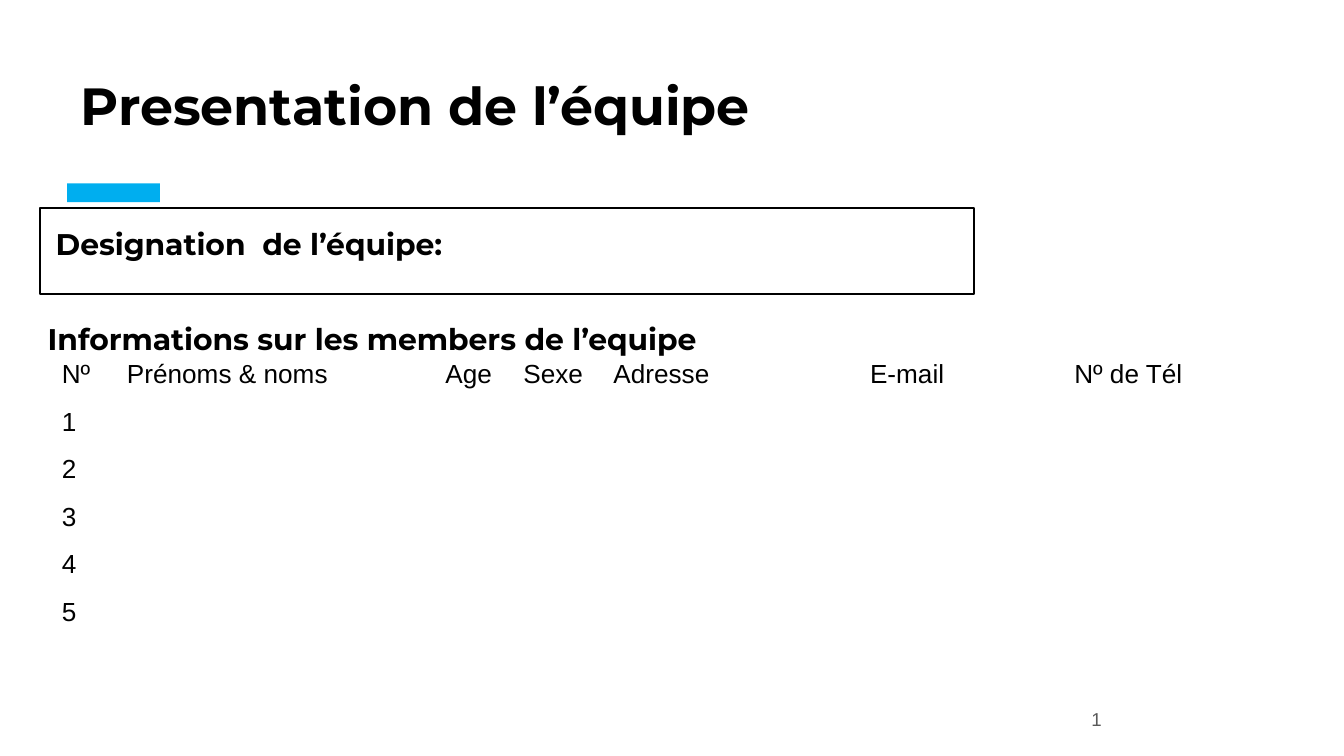
import lxml.etree
import pptx
import pptx.dml.color
import pptx.enum.shapes
import pptx.enum.text
import pptx.oxml.ns
import pptx.util

PX = 4572  # EMU in one px, 200 px to the inch
COLORS = {"text": "000000", "accent": "00AEEF", "muted": "595959"}
HEADING = {"name": "Montserrat", "size": pptx.util.Pt(16), "bold": True}
TITLE = {**HEADING, "size": pptx.util.Pt(28)}
BODY = {"name": "Arial", "size": pptx.util.Pt(14), "bold": False}
NUMBER = {**BODY, "size": pptx.util.Pt(10)}

NO_STYLE_NO_GRID = "{2D5ABB26-0587-4C30-8999-92F81FD0307C}"
HEADERS = ["Nº", "Prénoms & noms", "Age", "Sexe", "Adresse", "E-mail", "Nº de Tél"]
COLUMN_WIDTHS = [97, 474, 116, 134, 382, 304, 254]
MEMBERS = 5


def emu(*lengths):
    return [pptx.util.Emu(n * PX) for n in lengths]


def rgb(name):
    return pptx.dml.color.RGBColor.from_string(COLORS[name])


def write_paragraph(p, text, font, color="text"):
    p.alignment = pptx.enum.text.PP_ALIGN.LEFT
    r = p.add_run()
    r.text = text
    for key, value in font.items():
        setattr(r.font, key, value)
    r.font.color.rgb = rgb(color)
    return p


def write(tf, text, font, color="text", inset=0):
    tf.word_wrap = True
    tf.auto_size = pptx.enum.text.MSO_AUTO_SIZE.NONE
    tf.vertical_anchor = pptx.enum.text.MSO_ANCHOR.TOP
    for side in ("left", "top", "right", "bottom"):
        setattr(tf, f"margin_{side}", emu(inset)[0])
    return write_paragraph(tf.paragraphs[0], text, font, color)


def write_heading(tf, text):
    p = write(tf, text, HEADING)
    p.line_spacing = 1.5
    p._p.get_or_add_pPr().set("marL", str(24 * PX))


def add_rect(slide, box):
    s = slide.shapes.add_shape(pptx.enum.shapes.MSO_SHAPE.RECTANGLE, *emu(*box))
    s.shadow.inherit = False
    return s


def add_title(slide, left, top, width, height):
    """Title with the accent bar under it."""
    s = slide.shapes.title
    s.left, s.top, s.width, s.height = emu(left, top, width, height)
    p = write(s.text_frame, "Presentation de l’équipe", TITLE, inset=20)
    p.space_before = pptx.util.Pt(6)
    bar = add_rect(slide, (left, top + 184, 138, 28))
    bar.fill.solid()
    bar.fill.fore_color.rgb = rgb("accent")
    bar.line.fill.background()


def add_team_name(slide, *box):
    s = add_rect(slide, box)
    s.fill.background()
    s.line.color.rgb = rgb("text")
    s.line.width = pptx.util.Pt(1)
    write_heading(s.text_frame, "Designation  de l’équipe:")


def add_members(slide, left, top, width, height):
    """Heading and the table to fill in, one row for each member."""
    s = slide.shapes.add_textbox(*emu(left, top, width, height))
    write_heading(s.text_frame, "Informations sur les members de l’equipe")

    rows = [HEADERS] + [[str(n)] + [""] * (len(HEADERS) - 1) for n in range(1, MEMBERS + 1)]
    frame = slide.shapes.add_table(
        len(rows), len(HEADERS),
        *emu(left + 25, top + 75, sum(COLUMN_WIDTHS), 424))
    table = frame.table
    table.first_row = table.horz_banding = False
    style = table._tbl.tblPr.find(pptx.oxml.ns.qn("a:tableStyleId"))
    style.text = NO_STYLE_NO_GRID
    for column, column_width in zip(table.columns, COLUMN_WIDTHS):
        column.width = emu(column_width)[0]
    for i, row in enumerate(rows):
        for j, text in enumerate(row):
            cell = table.cell(i, j)
            cell.fill.background()
            p = cell.text_frame.paragraphs[0]
            if text:
                write_paragraph(p, text, BODY)
            else:
                # keeps an empty cell from growing to the default text size
                lxml.etree.SubElement(p._p, pptx.oxml.ns.qn("a:endParaRPr"), sz="1400")


def add_slide_number(slide, *box):
    s = slide.shapes.add_textbox(*emu(*box))
    write(s.text_frame, "1", NUMBER, "muted")


def main():
    prs = pptx.Presentation()
    prs.slide_width, prs.slide_height = emu(2000, 1125)
    slide = prs.slides.add_slide(prs.slide_layouts[5])
    add_title(slide, 100, 89, 1458, 212)
    add_team_name(slide, 59, 310, 1391, 128)
    add_members(slide, 47, 451, 1524, 618)
    add_slide_number(slide, 1624, 1054, 80, 28)
    prs.save("out.pptx")


if __name__ == "__main__":
    main()
